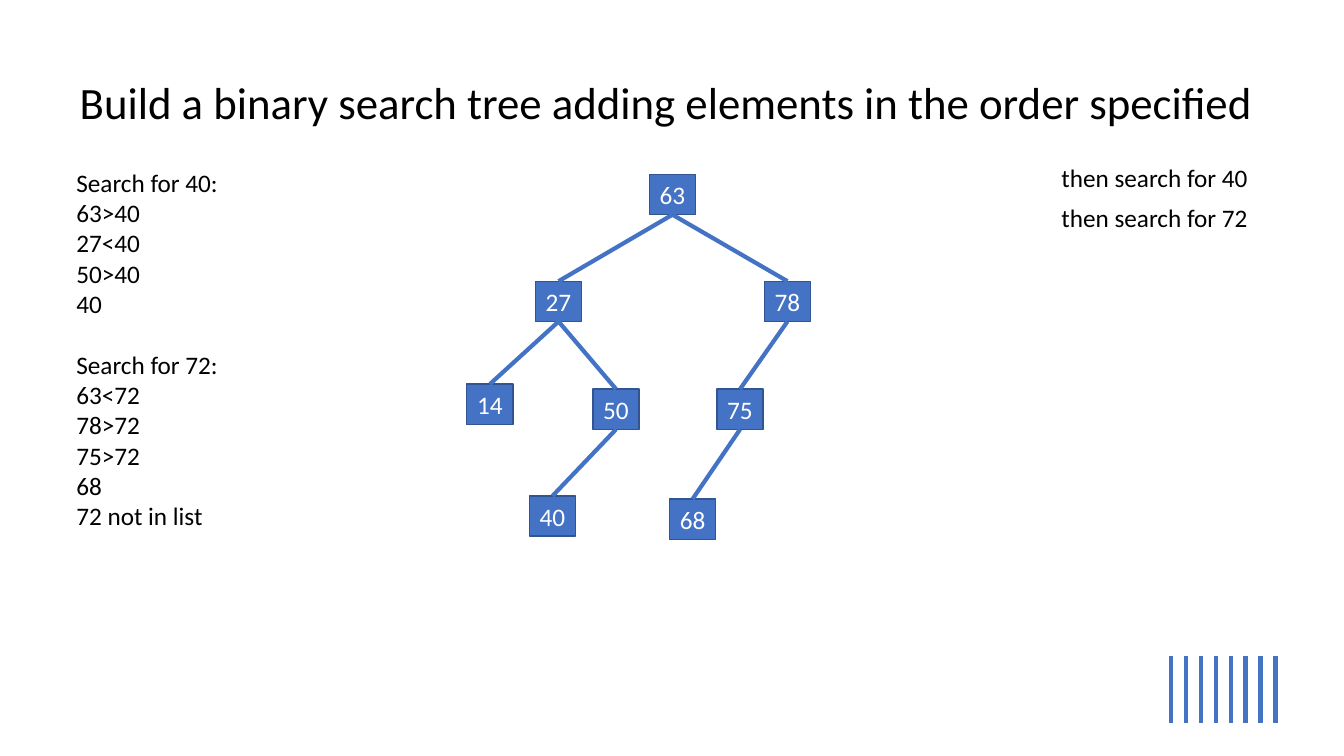
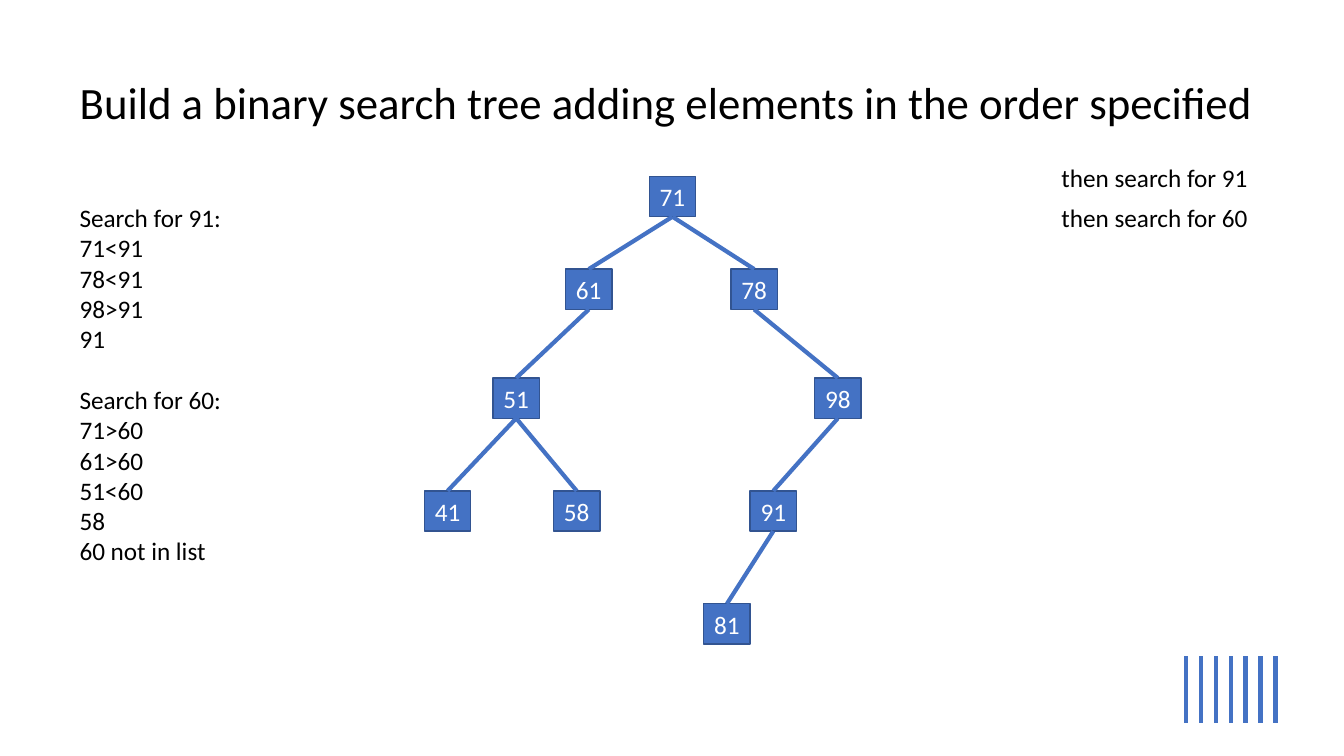
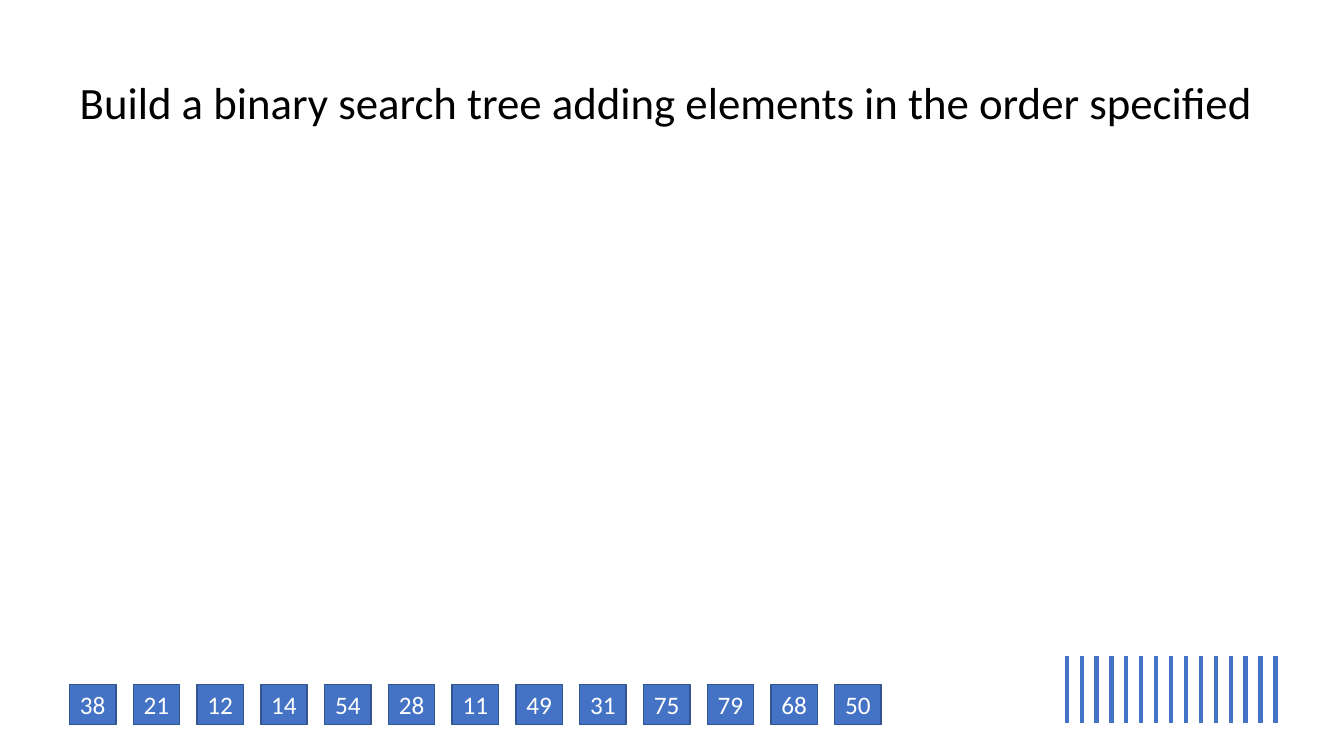
from pptx import Presentation
from pptx import util as u
from pptx.dml.color import RGBColor
from pptx.enum import shapes, text
from pptx.oxml.ns import qn
from lxml import etree

COLOURS = {"ink": "000000", "node": "4472C4", "border": "325491", "label": "FFFFFF"}
FONT = "Calibri"
TITLE = "Build a binary search tree adding elements in the order specified"
NODE_W, NODE_H = 0.46, 0.4
BODY_SIZE = 18

# Tally marks, lined up on their right end
TALLY_LEFT, TALLY_RIGHT, TALLY_MOST = 10.58, 12.65, 15
TALLY_STEP = (TALLY_RIGHT - TALLY_LEFT) / (TALLY_MOST - 1)
TALLY_TOP, TALLY_BOTTOM = 6.51, 7.17

# Row of elements still to be added
QUEUE_LEFT, QUEUE_TOP, QUEUE_STEP = 0.69, 6.79, 0.6325

# Each tree: value -> (left, top, parent), parents first
SOLVED = [
    {
        "tally": 8,
        "tree": {
            63: (6.44, 1.73, None),
            27: (5.31, 2.79, 63),
            78: (7.58, 2.79, 63),
            14: (4.63, 3.81, 27),
            50: (5.88, 3.86, 27),
            75: (7.11, 3.86, 78),
            40: (5.25, 4.92, 50),
            68: (6.64, 4.95, 75),
        },
        "targets": [40, 72],
        "trace_at": (0.66, 1.61, 2.7, 4.04),
        "traces": [
            ["Search for 40:", "63>40", "27<40", "50>40", "40"],
            ["Search for 72:", "63<72", "78>72", "75>72", "68", "72 not in list"],
        ],
    },
    {
        "tally": 7,
        "tree": {
            71: (6.44, 1.75, None),
            61: (5.61, 2.67, 71),
            78: (7.25, 2.67, 71),
            51: (4.89, 3.75, 61),
            98: (8.08, 3.75, 78),
            41: (4.21, 4.87, 51),
            58: (5.49, 4.87, 51),
            91: (7.44, 4.87, 98),
            81: (6.98, 5.99, 91),
        },
        "targets": [91, 60],
        "trace_at": (0.69, 1.96, 2.55, 3.74),
        "traces": [
            ["Search for 91:", "71<91", "78<91", "98>91", "91"],
            ["Search for 60:", "71>60", "61>60", "51<60", "58", "60 not in list"],
        ],
    },
]
QUEUE = [38, 21, 12, 14, 54, 28, 11, 49, 31, 75, 79, 68, 50]


def rgb(name):
    return RGBColor.from_string(COLOURS[name])


def add_run(paragraph, words, size=BODY_SIZE, colour="ink"):
    run = paragraph.add_run()
    run.text = words
    run.font.name = FONT
    run.font.size = u.Pt(size)
    run.font.color.rgb = rgb(colour)


def place(part, left, top, width, height):
    part.left, part.top = u.Inches(left), u.Inches(top)
    part.width, part.height = u.Inches(width), u.Inches(height)


def add_line(slide, start=(0, 0), end=(0, 0)):
    line = slide.shapes.add_connector(
        shapes.MSO_CONNECTOR.STRAIGHT, *map(u.Inches, start + end))
    line.line.color.rgb = rgb("node")
    line.line.width = u.Pt(3)
    etree.SubElement(line._element.spPr, qn("a:effectLst"))
    return line


def add_node(slide, value, left, top):
    node = slide.shapes.add_shape(
        shapes.MSO_SHAPE.RECTANGLE,
        *map(u.Inches, (left, top, NODE_W, NODE_H)))
    node.shadow.inherit = False
    node.fill.solid()
    node.fill.fore_color.rgb = rgb("node")
    node.line.color.rgb = rgb("border")
    node.line.width = u.Pt(1)
    frame = node.text_frame
    frame.word_wrap = False
    frame.vertical_anchor = text.MSO_ANCHOR.MIDDLE
    frame.paragraphs[0].alignment = text.PP_ALIGN.CENTER
    add_run(frame.paragraphs[0], str(value), colour="label")
    return node


def add_tree(slide, tree):
    nodes = {}
    for value, (left, top, parent) in tree.items():
        nodes[value] = add_node(slide, value, left, top)
        if parent is not None:
            edge = add_line(slide)
            edge.begin_connect(nodes[parent], 2)
            edge.end_connect(nodes[value], 0)


def add_note(slide, box, groups, wrap=True):
    """Text box with one paragraph per line and a line's gap between groups."""
    note = slide.shapes.add_textbox(*map(u.Inches, box))
    frame = note.text_frame
    frame.word_wrap = wrap
    paragraph = None
    for group in groups:
        for row, words in enumerate(group):
            is_first = paragraph is None
            paragraph = frame.paragraphs[0] if is_first else frame.add_paragraph()
            if row == 0 and not is_first:
                paragraph.space_before = u.Pt(22)
            add_run(paragraph, words)


def add_tally(slide, count):
    for mark in range(count):
        x = TALLY_RIGHT - mark * TALLY_STEP
        add_line(slide, (x, TALLY_TOP), (x, TALLY_BOTTOM))


def add_page(prs, tally):
    """Slide with the shared title and its tally marks."""
    slide = prs.slides.add_slide(prs.slide_layouts[5])
    title = slide.shapes.title
    place(title, 0.69, 0.69, 11.96, 0.64)
    frame = title.text_frame
    frame.word_wrap = False
    frame.auto_size = text.MSO_AUTO_SIZE.NONE
    frame.vertical_anchor = text.MSO_ANCHOR.TOP
    frame.paragraphs[0].alignment = text.PP_ALIGN.LEFT
    add_run(frame.paragraphs[0], TITLE, size=32)
    add_tally(slide, tally)
    return slide


def main():
    prs = Presentation()
    prs.slide_width, prs.slide_height = u.Inches(13.33), u.Inches(7.5)

    # Solved trees with their searches
    for exercise in SOLVED:
        slide = add_page(prs, exercise["tally"])
        add_tree(slide, exercise["tree"])
        for row, target in enumerate(exercise["targets"]):
            add_note(slide, (10.43, 1.56 + row * 0.4, 2.07, 0.4),
                     [[f"then search for {target}"]], wrap=False)
        add_note(slide, exercise["trace_at"], exercise["traces"])

    # Open exercise
    slide = add_page(prs, TALLY_MOST)
    for column, value in enumerate(QUEUE):
        add_node(slide, value, QUEUE_LEFT + column * QUEUE_STEP, QUEUE_TOP)

    prs.save("out.pptx")


if __name__ == "__main__":
    main()
